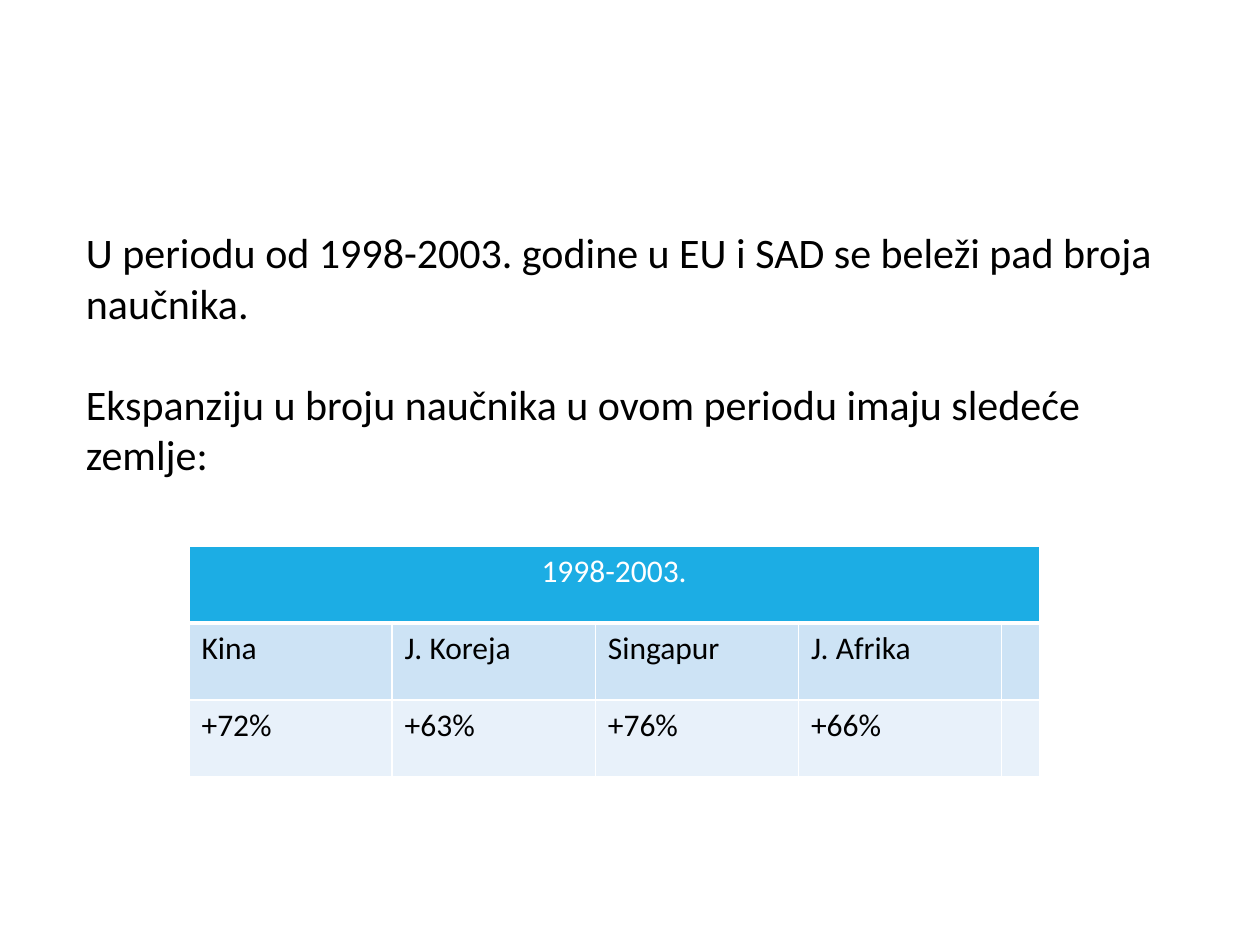
from lxml import etree
from pptx import Presentation
from pptx.dml.color import RGBColor
from pptx.enum.text import MSO_ANCHOR, PP_ALIGN
from pptx.oxml.ns import qn
from pptx.util import Pt

CENTER, LEFT = PP_ALIGN.CENTER, PP_ALIGN.LEFT
TOP = MSO_ANCHOR.TOP
BLANK_LAYOUT = 6
FONT = "Calibri"
BLACK, WHITE = "000000", "FFFFFF"
HEADER_FILL, COUNTRY_FILL, GROWTH_FILL = "1CADE4", "CDE3F5", "E8F1FA"

STATEMENTS = [
    "U periodu od 1998-2003. godine u EU i SAD se beleži pad broja naučnika.",
    "Ekspanziju u broju naučnika u ovom periodu imaju sledeće zemlje:",
]
PERIOD = "1998-2003."
GROWTH = {"Kina": "+72%", "J. Koreja": "+63%", "Singapur": "+76%", "J. Afrika": "+66%"}
COLUMN_WIDTHS = [116.1] * len(GROWTH) + [21.6]
ROW_HEIGHT = 44


def rgb(color):
    return RGBColor.from_string(color)


def add_run(paragraph, text, size, color):
    run = paragraph.add_run()
    run.text = text
    run.font.name = FONT
    run.font.size = Pt(size)
    run.font.color.rgb = rgb(color)


def add_statements(slide, left, top, width, height):
    frame = slide.shapes.add_textbox(Pt(left), Pt(top), Pt(width), Pt(height)).text_frame
    frame.word_wrap = True
    frame.vertical_anchor = TOP
    for index, statement in enumerate(STATEMENTS):
        paragraph = frame.add_paragraph() if index else frame.paragraphs[0]
        if index:
            paragraph.space_before = Pt(29)
        add_run(paragraph, statement, 24, BLACK)


def set_borders(cell, bottom_width):
    """Draw white borders, 1 pt except at the bottom; call before setting the fill."""
    properties = cell._tc.get_or_add_tcPr()
    for side, width in (("L", 1), ("R", 1), ("T", 1), ("B", bottom_width)):
        line = etree.SubElement(properties, qn(f"a:ln{side}"), w=str(Pt(width)))
        fill = etree.SubElement(line, qn("a:solidFill"))
        etree.SubElement(fill, qn("a:srgbClr"), val=WHITE)


def format_cell(cell, text, fill, color=BLACK, align=LEFT, bottom_width=1):
    set_borders(cell, bottom_width)
    cell.fill.solid()
    cell.fill.fore_color.rgb = rgb(fill)
    paragraph = cell.text_frame.paragraphs[0]
    paragraph.alignment = align
    if text:
        add_run(paragraph, text, 18, color)


def add_growth_table(slide, left, top):
    rows = [(GROWTH.keys(), COUNTRY_FILL), (GROWTH.values(), GROWTH_FILL)]
    row_count, column_count = len(rows) + 1, len(COLUMN_WIDTHS)
    table = slide.shapes.add_table(
        row_count, column_count, Pt(left), Pt(top),
        Pt(sum(COLUMN_WIDTHS)), Pt(ROW_HEIGHT * row_count)).table
    for column, width in zip(table.columns, COLUMN_WIDTHS):
        column.width = Pt(width)
    for row in table.rows:
        row.height = Pt(ROW_HEIGHT)

    header = table.cell(0, 0)
    header.merge(table.cell(0, column_count - 1))
    for column in range(column_count):
        format_cell(table.cell(0, column), "" if column else PERIOD,
                    HEADER_FILL, WHITE, CENTER, bottom_width=3)
    for row, (texts, fill) in enumerate(rows, start=1):
        for column, text in enumerate([*texts, ""]):
            format_cell(table.cell(row, column), text, fill)


def main():
    presentation = Presentation()
    presentation.slide_width, presentation.slide_height = Pt(720), Pt(540)
    slide = presentation.slides.add_slide(presentation.slide_layouts[BLANK_LAYOUT])
    add_statements(slide, 42, 126, 636, 262)
    add_growth_table(slide, 108, 312)
    presentation.save("out.pptx")


if __name__ == "__main__":
    main()
